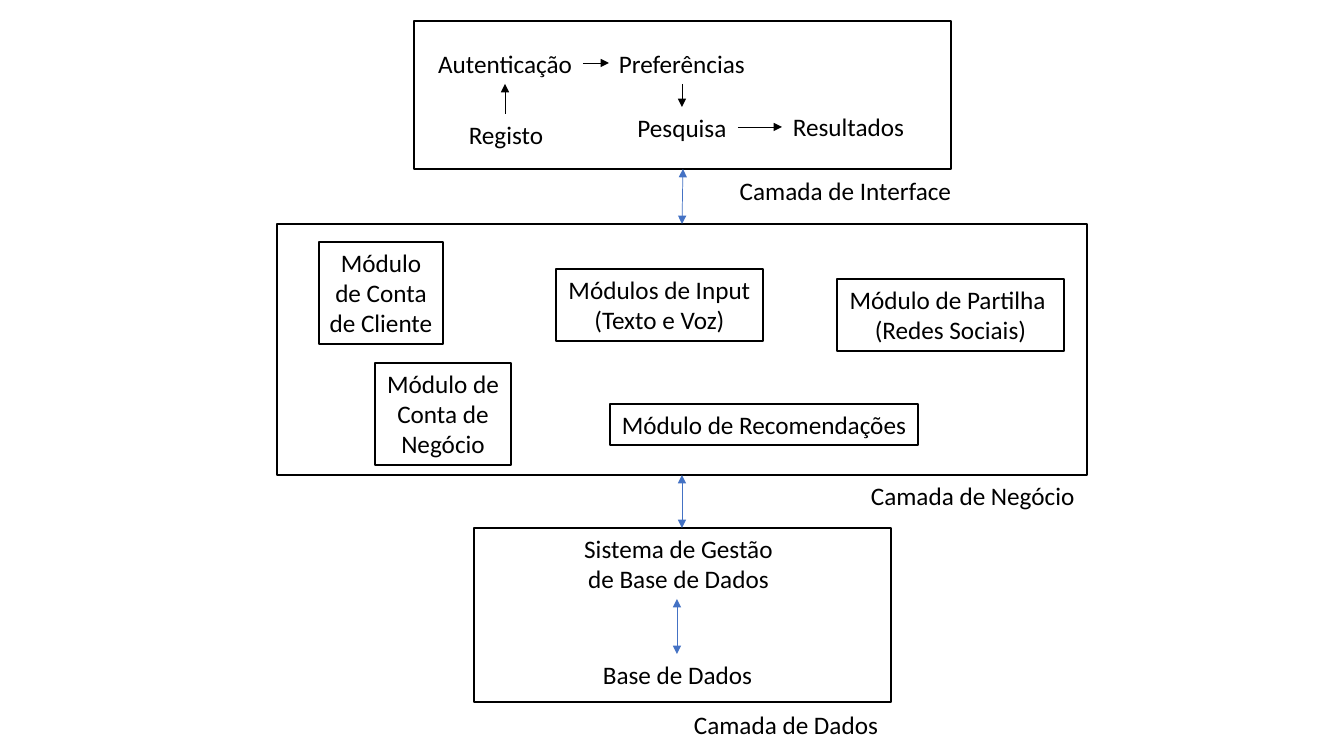
from pptx import Presentation
from pptx import util as u
from pptx.dml.color import RGBColor
from pptx.enum import shapes, text
from pptx.oxml import parse_xml
from pptx.oxml.ns import nsdecls, qn

EMU_PER_PIXEL = 914400 / 100.8
BLACK, WHITE, BLUE = "000000", "FFFFFF", "4472C4"
LINE_HEIGHT = 40


def px(length):
    """Turn pixels into EMU."""
    return u.Emu(round(length * EMU_PER_PIXEL))


def color(value):
    """Turn a hex string into a colour."""
    return RGBColor.from_string(value)


def write(box, words, wrap=False, align="CENTER", size=18, font="Calibri"):
    """Fill a box with formatted text, one paragraph per line of words."""
    frame = box.text_frame
    frame.word_wrap = wrap
    frame.auto_size = text.MSO_AUTO_SIZE.SHAPE_TO_FIT_TEXT
    frame.vertical_anchor = text.MSO_ANCHOR.TOP
    for number, line in enumerate(words.split("\n")):
        para = frame.add_paragraph() if number else frame.paragraphs[0]
        para.alignment = getattr(text.PP_ALIGN, align)
        span = para.add_run()
        span.text = line
        span.font.size = u.Pt(size)
        span.font.name = font
        span.font.color.rgb = color(BLACK)


def add_label(page, place, words, **style):
    """Add plain text without fill or outline."""
    box = page.shapes.add_textbox(*map(px, place))
    write(box, words, **style)


def add_box(page, place, fill=None, outline=BLACK):
    """Add a rectangle with an optional fill and outline."""
    box = page.shapes.add_shape(shapes.MSO_SHAPE.RECTANGLE, *map(px, place))
    box.shadow.inherit = False
    if fill:
        box.fill.solid()
        box.fill.fore_color.rgb = color(fill)
    else:
        box.fill.background()
    if outline:
        box.line.color.rgb = color(outline)
        box.line.width = u.Pt(1)
    else:
        box.line.fill.background()
    return box


def add_arrow(page, ends, stroke=BLACK, double=False):
    """Add a thin arrow, with heads at both ends if double."""
    arrow = page.shapes.add_connector(
        shapes.MSO_CONNECTOR.STRAIGHT, *map(px, ends))
    arrow.line.color.rgb = color(stroke)
    arrow.line.width = u.Pt(0.5)
    line = arrow.line._get_or_add_ln()
    for tag in ("headEnd", "tailEnd") if double else ("tailEnd",):
        line.append(parse_xml(f'<a:{tag} {nsdecls("a")} type="triangle"/>'))
    properties = arrow._element.find(qn("p:spPr"))
    properties.append(parse_xml(f'<a:effectLst {nsdecls("a")}/>'))


def add_interface_layer(page):
    """Add the screens of the interface layer and the flow between them."""
    for left, top, width, words in (
            (458, 114, 96, "Registo"), (427, 43, 156, "Autenticação"),
            (782, 106, 133, "Resultados"), (627, 107, 110, "Pesquisa")):
        screen = add_box(page, (left, top, width, LINE_HEIGHT), WHITE, None)
        write(screen, words)
    add_label(page, (609, 43, 147, LINE_HEIGHT), "Preferências", align="LEFT")
    add_box(page, (414, 21, 537, 148))
    add_label(page, (728, 170, 235, LINE_HEIGHT), "Camada de Interface")
    for ends in ((505, 114, 505, 84), (682, 84, 682, 107),
                 (738, 127, 782, 127), (583, 63, 609, 63)):
        add_arrow(page, ends)


def add_business_layer(page):
    """Add the modules of the business layer."""
    for place, words, wrap in (
            ((319, 242, 124, 102), "Módulo de Conta de Cliente", True),
            ((375, 363, 136, 102), "Módulo de Conta de Negócio", True),
            ((610, 404, 308, 41), "Módulo de Recomendações", False),
            ((837, 279, 227, 72), "Módulo de Partilha \n(Redes Sociais)", True),
            ((556, 269, 207, 72), "Módulos de Input (Texto e Voz)", True)):
        write(add_box(page, place, WHITE), words, wrap=wrap)
    add_box(page, (277, 224, 810, 251))
    add_label(page, (861, 475, 227, LINE_HEIGHT), "Camada de Negócio",
              align="LEFT")


def add_data_layer(page):
    """Add the database system and the database of the data layer."""
    add_label(page, (569, 528, 219, 72),
              "Sistema de Gestão de Base de Dados", wrap=True)
    add_label(page, (592, 654, 171, LINE_HEIGHT), "Base de Dados")
    add_box(page, (474, 528, 417, 174))
    add_label(page, (684, 704, 207, LINE_HEIGHT), "Camada de Dados",
              align="LEFT")


def main():
    """Build the three-layer architecture slide."""
    deck = Presentation()
    deck.slide_width, deck.slide_height = px(1344), px(756)
    page = deck.slides.add_slide(deck.slide_layouts[6])
    add_data_layer(page)
    add_business_layer(page)
    add_interface_layer(page)
    for ends in ((683, 169, 682, 224), (682, 475, 682, 528),
                 (677, 599, 677, 654)):
        add_arrow(page, ends, stroke=BLUE, double=True)
    deck.save("out.pptx")


main()
